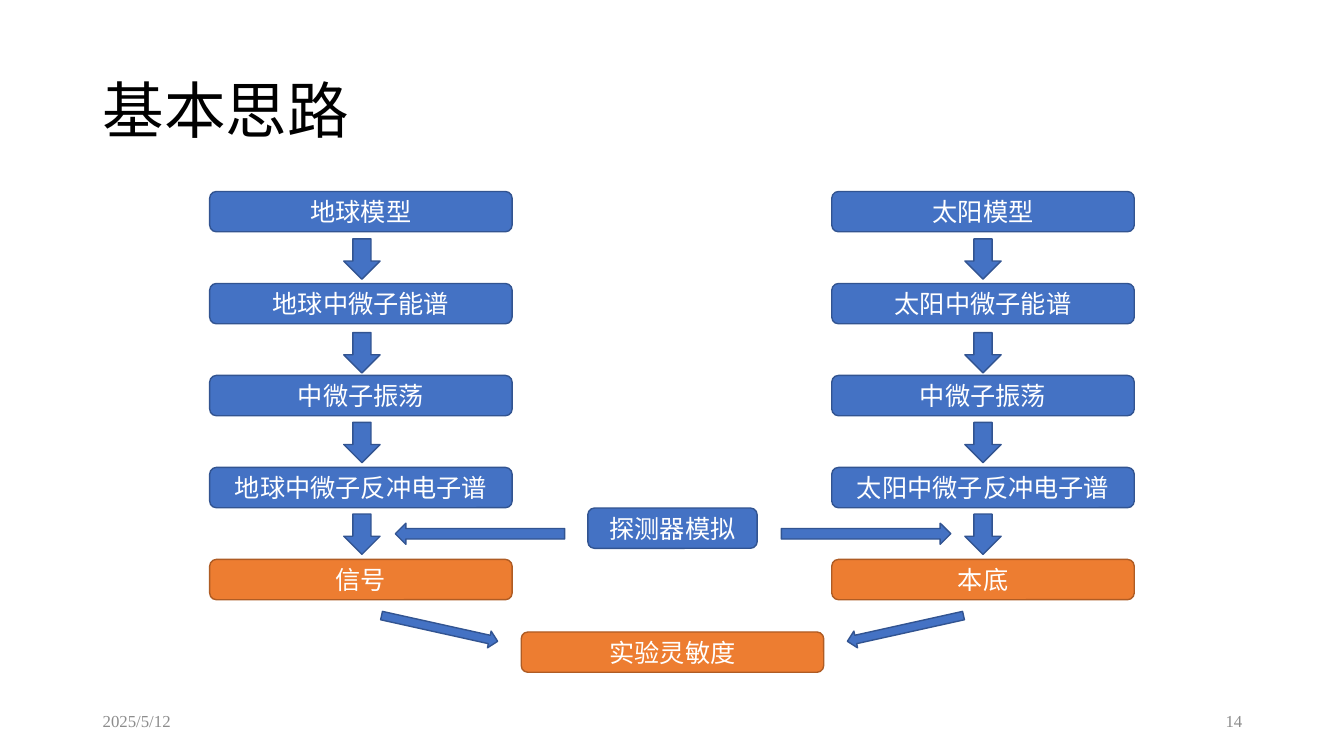
from dataclasses import dataclass

from pptx import Presentation
from pptx.dml.color import RGBColor as RGB
from pptx.enum.shapes import MSO_SHAPE as SHAPE
from pptx.enum.text import MSO_ANCHOR as ANCHOR, PP_ALIGN as ALIGN
from pptx.util import Inches, Pt


@dataclass(frozen=True)
class Theme:
    """Colours, font and type sizes; fill and line colours come in pairs."""
    font: str = "Times New Roman"
    black: str = "000000"
    grey: str = "8C8C8C"
    white: str = "FFFFFF"
    blue: tuple = ("4472C4", "325491")
    orange: tuple = ("ED7D31", "AF5C24")
    title: int = 44
    body: int = 18
    footer: int = 12


class FlowSlide:
    """Draws the elements of a flow chart on one slide."""

    def __init__(self, s, theme):
        """Keep the slide and its style."""
        self.s, self.theme = s, theme

    def add_text(self, sp, text, size, color, align, spacing=None):
        """Put one run of text into a shape."""
        tf = sp.text_frame
        tf.word_wrap = True
        tf.vertical_anchor = ANCHOR.MIDDLE
        p = tf.paragraphs[0]
        p.alignment = align
        p.line_spacing = spacing
        r = p.add_run()
        r.text = text
        r.font.name = self.theme.font
        r.font.size = Pt(size)
        r.font.color.rgb = RGB.from_string(color)

    def label(self, box, text, size, color, align=ALIGN.LEFT, spacing=None):
        """Add a plain text box."""
        sp = self.s.shapes.add_textbox(*map(Inches, box))
        self.add_text(sp, text, size, color, align, spacing)

    def shape(self, kind, box, colors):
        """Add a filled and outlined preset shape."""
        sp = self.s.shapes.add_shape(kind, *map(Inches, box))
        sp.shadow.inherit = False
        fill, line = colors
        sp.fill.solid()
        sp.fill.fore_color.rgb = RGB.from_string(fill)
        sp.line.color.rgb = RGB.from_string(line)
        sp.line.width = Pt(1)
        return sp

    def step(self, x, y, text, colors, width=3):
        """Add a rounded box with centred text."""
        sp = self.shape(SHAPE.ROUNDED_RECTANGLE, (x, y, width, 0.4), colors)
        self.add_text(sp, text, self.theme.body, self.theme.white, ALIGN.CENTER)

    def down_arrow(self, x, y):
        """Add a short arrow between two steps."""
        self.shape(SHAPE.DOWN_ARROW, (x, y, 0.36, 0.4), self.theme.blue)

    def side_arrow(self, box, angle=0):
        """Add a right arrow turned clockwise by an angle."""
        sp = self.shape(SHAPE.RIGHT_ARROW, box, self.theme.blue)
        sp.rotation = angle


def main():
    """Build and save the slide."""
    prs = Presentation()
    prs.slide_width, prs.slide_height = Inches(13.33), Inches(7.5)
    t = Theme()
    flow = FlowSlide(prs.slides.add_slide(prs.slide_layouts[6]), t)

    flow.label((0.92, 0.4, 11.5, 1.45), "基本思路", t.title, t.black, spacing=0.9)
    flow.label((0.92, 6.95, 3, 0.4), "2025/5/12", t.footer, t.grey)
    flow.label((9.42, 6.95, 3, 0.4), "14", t.footer, t.grey, ALIGN.RIGHT)

    top, bottom = 1.9, 5.55
    columns = [(2.08, 3.41, "地球", "信号"), (8.25, 9.57, "太阳", "本底")]
    for x, arrow_x, source, result in columns:
        steps = [f"{source}模型", f"{source}中微子能谱", "中微子振荡",
                 f"{source}中微子反冲电子谱", result]
        pitch = (bottom - top) / (len(steps) - 1)
        for i, text in enumerate(steps):
            colors = t.orange if text == result else t.blue
            flow.step(x, top + i * pitch, text, colors)
        for y in (2.37, 3.3, 4.19, 5.1):
            flow.down_arrow(arrow_x, y)

    flow.step(5.83, 5.04, "探测器模拟", t.blue, width=1.68)
    flow.step(5.17, 6.27, "实验灵敏度", t.orange)
    flow.side_arrow((7.75, 5.19, 1.68, 0.21))
    flow.side_arrow((3.92, 5.19, 1.68, 0.21), 180)
    flow.side_arrow((8.39, 6.15, 1.18, 0.17), 167.5)
    flow.side_arrow((3.77, 6.15, 1.18, 0.17), 12.5)

    prs.save("out.pptx")


if __name__ == "__main__":
    main()
